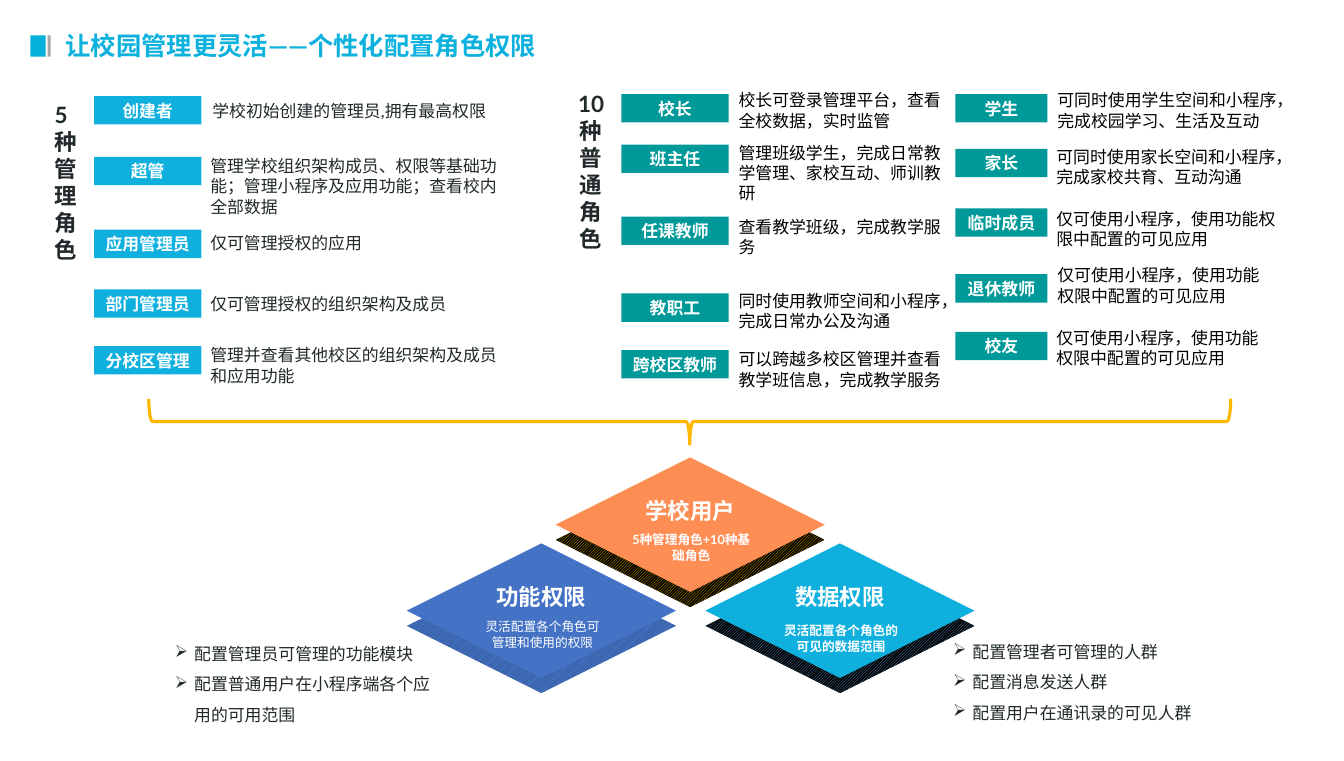
from lxml.etree import SubElement
from pptx import Presentation
from pptx.dml.color import RGBColor
from pptx.enum.dml import MSO_PATTERN
from pptx.enum.shapes import MSO_SHAPE
from pptx.enum.text import MSO_ANCHOR, MSO_AUTO_SIZE, PP_ALIGN
from pptx.oxml.ns import qn
from pptx.util import Pt

PX = 9144
FONT = "Lato"
INK, BLACK, WHITE = "21292A", "000000", "FFFFFF"
SKY, TEAL = "10B0DE", "009999"


def px(*lengths):
    """Turn px lengths into EMU."""
    return [length * PX for length in lengths]


def rgb(value):
    """Turn a hex string into a colour."""
    return RGBColor.from_string(value)


def style(paragraph, size, color, bold=False, align=None, spacing=None):
    """Format a paragraph and its runs."""
    paragraph.alignment = align
    paragraph.line_spacing = spacing
    for run in paragraph.runs:
        run.font.size = Pt(size)
        run.font.bold = bold
        run.font.color.rgb = rgb(color)
        run.font.name = FONT
        SubElement(run.font._element, qn("a:ea"), typeface=FONT)


def add_text(slide, box, text, size, color, **look):
    """Add a wrapped text box with one paragraph."""
    frame = slide.shapes.add_textbox(*px(*box)).text_frame
    frame.word_wrap = True
    frame.auto_size = MSO_AUTO_SIZE.SHAPE_TO_FIT_TEXT
    frame.text = text
    style(frame.paragraphs[0], size, color, **look)


def add_solid(shapes, kind, box, color):
    """Add a filled shape without outline or shadow."""
    solid = shapes.add_shape(kind, *px(*box))
    solid.shadow.inherit = False
    solid.fill.solid()
    solid.fill.fore_color.rgb = rgb(color)
    solid.line.fill.background()
    return solid


def add_label(solid, text, size):
    """Write a bold white label in the middle of a shape."""
    frame = solid.text_frame
    frame.word_wrap = True
    frame.vertical_anchor = MSO_ANCHOR.MIDDLE
    frame.text = text
    style(frame.paragraphs[0], size, WHITE, bold=True, align=PP_ALIGN.CENTER)


def add_title(slide, left, top, title):
    """Place the two marker bars and the slide title."""
    add_solid(slide.shapes, MSO_SHAPE.RECTANGLE, (left, top + 7, 15, 21), "05B1DD")
    add_solid(slide.shapes, MSO_SHAPE.RECTANGLE, (left + 17, top + 7, 3, 21), "A6A6A6")
    add_text(slide, (left + 25, top, 698, 31), title, 18, "0DB1DD", bold=True, spacing=0.9)


def add_roles(slide, left, top, tag_width, tag_color, text_color, roles):
    """Place a column of role tags with their descriptions."""
    for role, tag_y, duty, duty_x, duty_y, duty_width, duty_height in roles:
        tag_box = (left, top + tag_y, tag_width, 28)
        tag = add_solid(slide.shapes, MSO_SHAPE.RECTANGLE, tag_box, tag_color)
        add_label(tag, role, 12)
        duty_box = (left + tag_width + duty_x, top + duty_y, duty_width, duty_height)
        add_text(slide, duty_box, duty, 12, text_color)


def add_brace(slide, left, top, width, height):
    """Place a brace that opens upwards across the given box."""
    upright = (left + (width - height) // 2, top + (height - width) // 2, height, width)
    brace = slide.shapes.add_shape(MSO_SHAPE.LEFT_BRACE, *px(*upright))
    brace.rotation = 270
    brace.shadow.inherit = False
    brace.fill.background()
    brace.line.color.rgb = rgb("FFB700")
    brace.line.width = Pt(2.25)


def add_diamonds(slide, left, top, diamonds):
    """Place the layered diamonds, then the captions on them."""
    group = slide.shapes.add_group_shape()
    for name, x, y, color, stripe, ground, *_ in diamonds:
        box = (left + x, top + y, 266, 133)
        under_box = (left + x, top + y + 15, 266, 133)
        under = add_solid(group.shapes, MSO_SHAPE.DIAMOND, under_box, ground)
        under.fill.patterned()
        under.fill.pattern = MSO_PATTERN.DARK_UPWARD_DIAGONAL
        under.fill.fore_color.rgb = rgb(stripe)
        under.fill.back_color.rgb = rgb(ground)
        face = add_solid(group.shapes, MSO_SHAPE.DIAMOND, box, color)
        add_label(face, name, 16)
        frame = face.text_frame
        frame.margin_left, frame.margin_right = px(13, 13)
        frame.margin_top, frame.margin_bottom = px(7, 34)
    for _, x, y, _, _, _, caption, caption_y, bold in diamonds:
        box = (left + x + 62, top + y + caption_y, 144, 40)
        add_text(slide, box, caption, 9, WHITE, bold=bold, align=PP_ALIGN.CENTER)


def add_bullets(slide, box, items):
    """Place a list with arrow bullets."""
    frame = slide.shapes.add_textbox(*px(*box)).text_frame
    frame.word_wrap = True
    frame.auto_size = MSO_AUTO_SIZE.SHAPE_TO_FIT_TEXT
    frame.text = "\n".join(items)
    for item in frame.paragraphs:
        properties = item._p.get_or_add_pPr()
        properties.set("marL", str(19 * PX))
        properties.set("indent", str(-19 * PX))
        SubElement(properties, qn("a:buChar"), char="➢")
        style(item, 12, INK, spacing=1.5)


MANAGERS = [
    ("创建者", 0, "学校初始创建的管理员,拥有最高权限", 1, 0, 293, 30),
    ("超管", 60, "管理学校组织架构成员、权限等基础功能；管理小程序及应用功能；查看校内全部数据",
     -1, 54, 310, 71),
    ("应用管理员", 132, "仅可管理授权的应用", -1, 130, 310, 30),
    ("部门管理员", 191, "仅可管理授权的组织架构及成员", -1, 190, 310, 30),
    ("分校区管理", 247, "管理并查看其他校区的组织架构及成员和应用功能", -1, 241, 310, 50),
]
STAFF = [
    ("校长", 0, "校长可登录管理平台，查看全校数据，实时监管", 0, -9, 223, 50),
    ("班主任", 50, "管理班级学生，完成日常教学管理、家校互动、师训教研", 0, 43, 223, 71),
    ("任课教师", 121, "查看教学班级，完成教学服务", 0, 116, 223, 50),
    ("教职工", 197, "同时使用教师空间和小程序，完成日常办公及沟通", 0, 189, 223, 50),
    ("跨校区教师", 253, "可以跨越多校区管理并查看教学班信息，完成教学服务", 0, 247, 223, 50),
]
APP_ONLY = "仅可使用小程序，使用功能权限中配置的可见应用"
MEMBERS = [
    ("学生", 0, "可同时使用学生空间和小程序，完成校园学习、生活及互动", 0, -9, 266, 50),
    ("家长", 54, "可同时使用家长空间和小程序，完成家校共育、互动沟通", -1, 47, 253, 50),
    ("临时成员", 113, APP_ONLY, -1, 108, 244, 50),
    ("退休教师", 178, APP_ONLY, 0, 164, 223, 50),
    ("校友", 235, APP_ONLY, -1, 226, 223, 50),
]
DIAMONDS = [
    ("功能权限", 0, 85, "4472C4", "203864", "4472C4",
     "灵活配置各个角色可管理和使用的权限", 70, False),
    ("学校用户", 147, 0, "FF8E55", "FFC000", "000000",
     "5种管理角色+10种基础角色", 69, True),
    ("数据权限", 295, 85, SKY, "5B9BD5", "000000",
     "灵活配置各个角色的可见的数据范围", 74, True),
]


def main():
    """Build the slide and save it."""
    deck = Presentation()
    deck.slide_width, deck.slide_height = px(1328, 752)
    slide = deck.slides.add_slide(deck.slide_layouts[6])
    add_title(slide, 30, 28, "让校园管理更灵活——个性化配置角色权限")
    add_diamonds(slide, 402, 452, DIAMONDS)
    for heading, box in (("5种管理角色", (44, 95, 33, 172)),
                         ("10种普通角色", (558, 84, 52, 172))):
        add_text(slide, box, heading, 16, INK, bold=True, align=PP_ALIGN.CENTER)
    add_brace(slide, 147, 394, 1069, 45)
    add_bullets(slide, (163, 621, 279, 128),
                ["配置管理员可管理的功能模块", "配置普通用户在小程序端各个应用的可用范围"])
    add_bullets(slide, (932, 619, 262, 98),
                ["配置管理者可管理的人群", "配置消息发送人群", "配置用户在通讯录的可见人群"])
    add_roles(slide, 93, 95, 106, SKY, INK, MANAGERS)
    add_roles(slide, 614, 93, 106, TEAL, BLACK, STAFF)
    add_roles(slide, 944, 93, 91, TEAL, BLACK, MEMBERS)
    deck.save("out.pptx")


if __name__ == "__main__":
    main()
